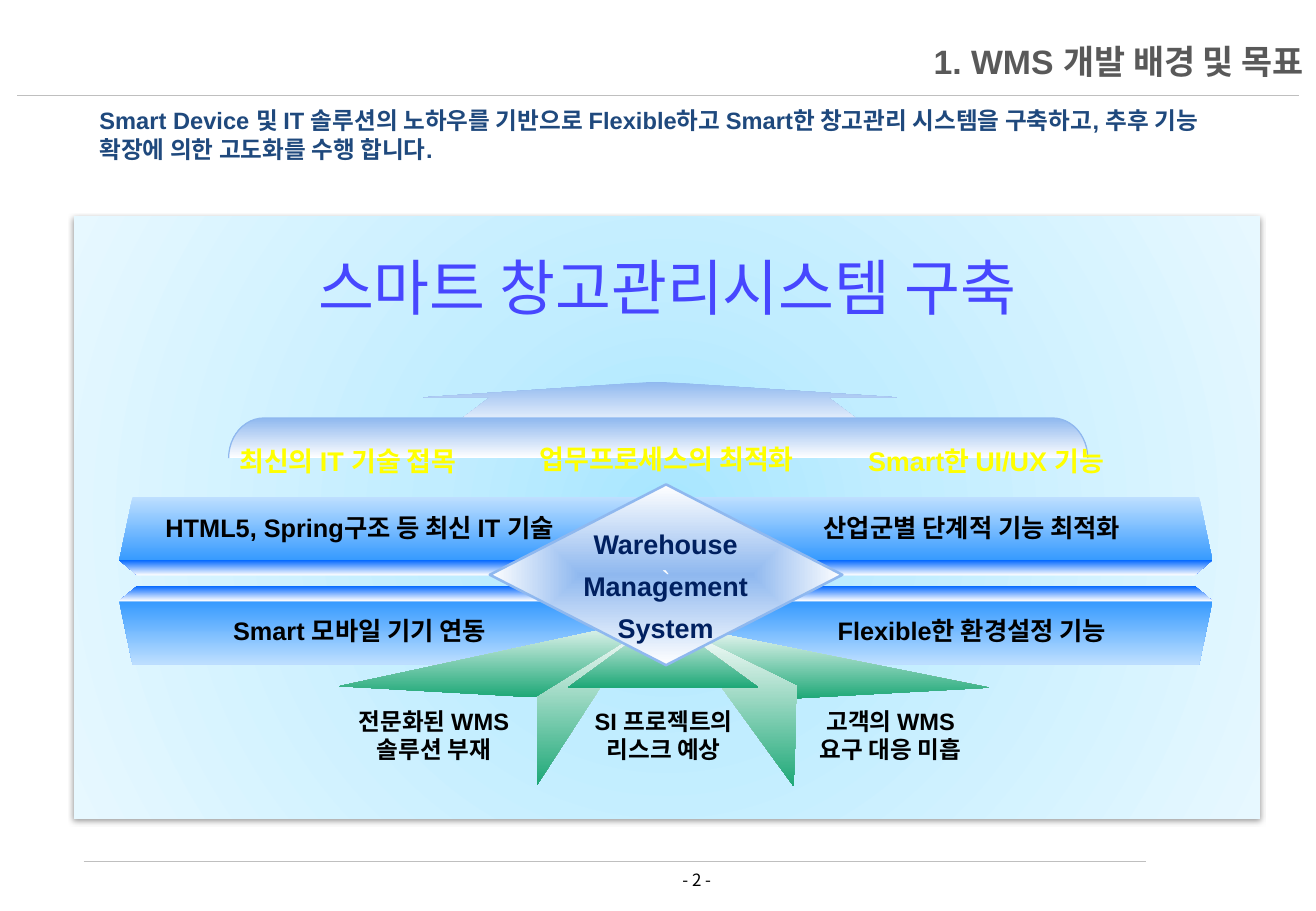
from pptx import Presentation
from pptx.dml.color import RGBColor
from pptx.enum.dml import MSO_LINE_DASH_STYLE as DASH
from pptx.enum.shapes import MSO_CONNECTOR, MSO_SHAPE as SHAPE
from pptx.enum.text import MSO_ANCHOR as ANCHOR, PP_ALIGN as ALIGN
from pptx.oxml import parse_xml
from pptx.oxml.ns import nsdecls, qn
from pptx.util import Cm, Pt

GREEN = ["FFFFFF", "1EA877"]
SKY = ["8FB8EF", "FFFFFF"]
BAR = ["BEDFFF", "3399FF"]
EDGE = ["0066FF", "FFFFFF"]


def color(value):
    return RGBColor.from_string(value)


def gradient(shape, colors, positions=(0, 100), path=None):
    """Fill from top to bottom, or outwards from the centre along a path."""
    stops = "".join(
        f'<a:gs pos="{position * 1000}"><a:srgbClr val="{value}"/></a:gs>'
        for position, value in zip(positions, colors))
    if path:
        direction = (f'<a:path path="{path}"><a:fillToRect l="50000" t="50000" '
                     'r="50000" b="50000"/></a:path>')
    else:
        direction = '<a:lin ang="5400000" scaled="0"/>'
    shape.fill.background()
    properties = shape._element.spPr
    properties.replace(properties.find(qn("a:noFill")), parse_xml(
        f'<a:gradFill {nsdecls("a")} rotWithShape="0"><a:gsLst>{stops}</a:gsLst>'
        f'{direction}</a:gradFill>'))


def finish(shape, line=None, width=0.75):
    shape.shadow.inherit = False
    if line:
        shape.line.color.rgb = color(line)
        shape.line.width = Pt(width)
    else:
        shape.line.fill.background()
    return shape


def add_preset(slide, kind, left, top, width, height, line=None, line_width=0.75):
    shape = slide.shapes.add_shape(kind, Cm(left), Cm(top), Cm(width), Cm(height))
    return finish(shape, line, line_width)


def add_outline(slide, left, top, points, colors):
    corners = [(Cm(left + x), Cm(top + y)) for x, y in points]
    builder = slide.shapes.build_freeform(*corners[0])
    builder.add_line_segments(corners[1:], close=True)
    gradient(finish(builder.convert_to_shape()), colors)


def write(shape, lines, size, ink, bold=True, align=ALIGN.CENTER, wrap=True,
          anchor=ANCHOR.TOP, spacing=None, font="Arial"):
    frame = shape.text_frame
    frame.word_wrap = wrap
    frame.vertical_anchor = anchor
    frame.text = lines
    for paragraph in frame.paragraphs:
        paragraph.alignment = align
        if spacing:
            paragraph.line_spacing = spacing
        paragraph.font.name = font
        paragraph.font.size = Pt(size)
        paragraph.font.bold = bold
        paragraph.font.color.rgb = color(ink)


def add_text(slide, left, top, width, height, lines, size, ink, **options):
    box = slide.shapes.add_textbox(Cm(left), Cm(top), Cm(width), Cm(height))
    write(box, lines, size, ink, **options)


def add_rule(slide, left, top, width):
    rule = slide.shapes.add_connector(
        MSO_CONNECTOR.STRAIGHT, Cm(left), Cm(top), Cm(left + width), Cm(top))
    rule.line.color.rgb = color("BFBFBF")
    rule.line.width = Pt(0.25)
    rule.line.dash_style = DASH.ROUND_DOT
    rule._element.spPr.append(parse_xml(f'<a:effectLst {nsdecls("a")}/>'))


def add_header(slide, left, top, width):
    add_rule(slide, left, top + 1.29, width - 0.35)
    add_text(slide, left + 2.38, top, width - 2.38, 1.14,
             "1. WMS 개발 배경 및 목표", 20, "595959",
             align=ALIGN.RIGHT, anchor=ANCHOR.MIDDLE)
    add_text(slide, left + 1.47, top + 1.39, 23.77, 1.45,
             "Smart Device 및 IT 솔루션의 노하우를 기반으로 Flexible하고 Smart한 "
             "창고관리 시스템을 구축하고, 추후 기능 확장에 의한 고도화를 수행 합니다.",
             14, "1F497D", align=ALIGN.LEFT)


def add_footer(slide, left, top, width):
    add_rule(slide, left, top, width)
    add_text(slide, left + 10.21, top + 0.05, 5.21, 0.69, "- 2 -", 10, "000000",
             bold=False, font="Noto Sans CJK KR")


def add_panel(slide, left, top, width, height):
    panel = add_preset(slide, SHAPE.RECTANGLE, left, top, width, height)
    gradient(panel, ["A7E6FF", "C1EDFF", "E7F8FF"], (0, 35, 100), "circle")
    panel._element.spPr.find(qn("a:effectLst")).append(parse_xml(
        f'<a:outerShdw {nsdecls("a")} blurRad="{Pt(3.1)}" dist="{Pt(1.6)}" '
        'dir="5400000" rotWithShape="0"><a:srgbClr val="000000">'
        '<a:alpha val="38000"/></a:srgbClr></a:outerShdw>'))
    add_text(slide, left + 3.5, top + 0.57, width - 7, 2.59,
             "스마트 창고관리시스템 구축", 36, "4747FF", bold=False)


def add_feature_bars(slide, left, top, width):
    """Two rows of two slanted bars whose folded edges face each other."""
    half, height, fold, slant = width / 2, 1.35, 9.04, 0.38
    rows = [(0, BAR, ("HTML5, Spring구조 등 최신 IT 기술", "산업군별 단계적 기능 최적화")),
            (2.16, BAR[::-1], ("Smart 모바일 기기 연동", "Flexible한 환경설정 기능"))]
    for row, (offset, colors, labels) in enumerate(rows):
        for column, label in enumerate(labels):
            bar = add_preset(slide, SHAPE.PARALLELOGRAM, left + column * half,
                             top + offset + 0.05, half, height)
            bar.adjustments[0] = 0.21
            if row != column:
                bar._element.spPr.xfrm.set("flipH", "1")
            gradient(bar, colors)

            # Folded edge: the long side touches the bar
            ends = [(0, 0), (slant, 0.32), (fold - slant, 0.32), (fold, 0)]
            if row:
                ends = [(x, 0.32 - y) for x, y in ends]
            add_outline(slide, left + column * (width - fold),
                        top + (1.91 if row else 1.37), ends, EDGE)

            caption = add_preset(slide, SHAPE.BEVEL, left + column * (width - 10.06),
                                 top + offset, 10.06, 1.37)
            caption.adjustments[0] = 0.08
            caption.fill.background()
            write(caption, label, 15, "000000", wrap=False, anchor=ANCHOR.MIDDLE)


def add_banner(slide, left, top, width):
    # Rising arrow
    add_outline(slide, left + 4.06, top,
                [(4.88, 0), (0, 0.33), (1.4, 0.33), (0.46, 1.04),
                 (9.42, 1.04), (8.48, 0.33), (9.91, 0.33)], SKY)
    # Bracket turned to open downwards
    depth = 0.84
    bracket = add_preset(slide, SHAPE.RIGHT_BRACKET, left + (width - depth) / 2,
                         top + 0.76 + (depth - width) / 2, depth, width, "8FB8EF")
    bracket.adjustments[0] = 0.88
    bracket.rotation = 270
    gradient(bracket, SKY)
    # Goals
    for x, y, goal_width, goal in [(-1.05, 1.19, 7.09, "최신의 IT 기술 접목"),
                                   (5.96, 1.14, 6.4, "업무프로세스의 최적화"),
                                   (12.9, 1.19, 5.87, "Smart한 UI/UX 기능")]:
        add_text(slide, left + x, top + y, goal_width, 0.94, goal, 16, "FFFF00",
                 wrap=False)


def add_causes(slide, left, top):
    # Arrows that meet behind the diamond
    for points in [[(4.14, 3.53), (4.14, 1.5), (6.3, 0.2)],
                   [(4.09, 1.7), (0, 1.47), (6.83, 0)],
                   [(9.42, 1.73), (13.59, 1.5), (6.86, 0.15)],
                   [(9.5, 3.56), (9.58, 1.47), (7.09, 0.25)]]:
        add_outline(slide, left, top, points, GREEN)
    gradient(add_preset(slide, SHAPE.ISOSCELES_TRIANGLE, left + 4.78, top + 0.05,
                        3.99, 1.45), GREEN)
    for x, width, cause in [(-0.05, 4.06, "전문화된 WMS 솔루션 부재"),
                            (4.78, 4.01, "SI 프로젝트의 리스크 예상"),
                            (9.42, 4.22, "고객의 WMS\n요구 대응 미흡")]:
        add_text(slide, left + x, top + 1.78, width, 1.45, cause, 14, "000000")


def add_core(slide, left, top, width, height):
    diamond = add_preset(slide, SHAPE.DIAMOND, left, top, width, height, "8FB8EF", 1.5)
    gradient(diamond, SKY, path="shape")
    write(diamond, "`", 16, "FFFFFF", bold=False, wrap=False,
          anchor=ANCHOR.MIDDLE, spacing=1.3)
    add_text(slide, left + 1.63, top + 0.58, 4.09, 2.92,
             "Warehouse\nManagement\nSystem", 16, "002060", wrap=False, spacing=1.3)


def main():
    presentation = Presentation()
    presentation.slide_width = Cm(27.51)
    presentation.slide_height = Cm(19.05)
    slide = presentation.slides.add_slide(presentation.slide_layouts[6])
    add_header(slide, 0.36, 0.71, 27.15)
    add_footer(slide, 1.75, 18.01, 22.2)
    add_panel(slide, 1.55, 4.52, 24.79, 12.6)
    add_feature_bars(slide, 2.49, 10.34, 22.86)
    add_banner(slide, 4.78, 7.98, 17.96)
    add_causes(slide, 7.09, 12.88)
    add_core(slide, 10.24, 10.13, 7.37, 3.78)
    presentation.save("out.pptx")


if __name__ == "__main__":
    main()
